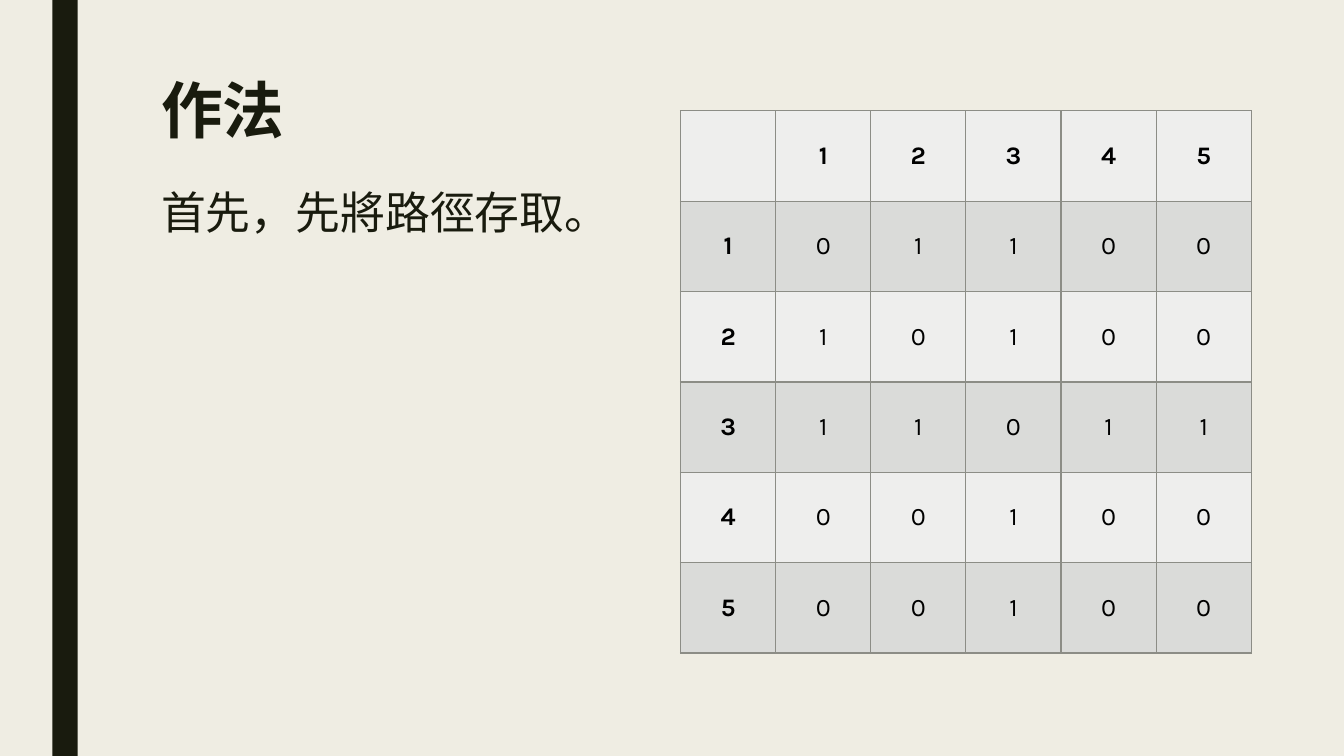
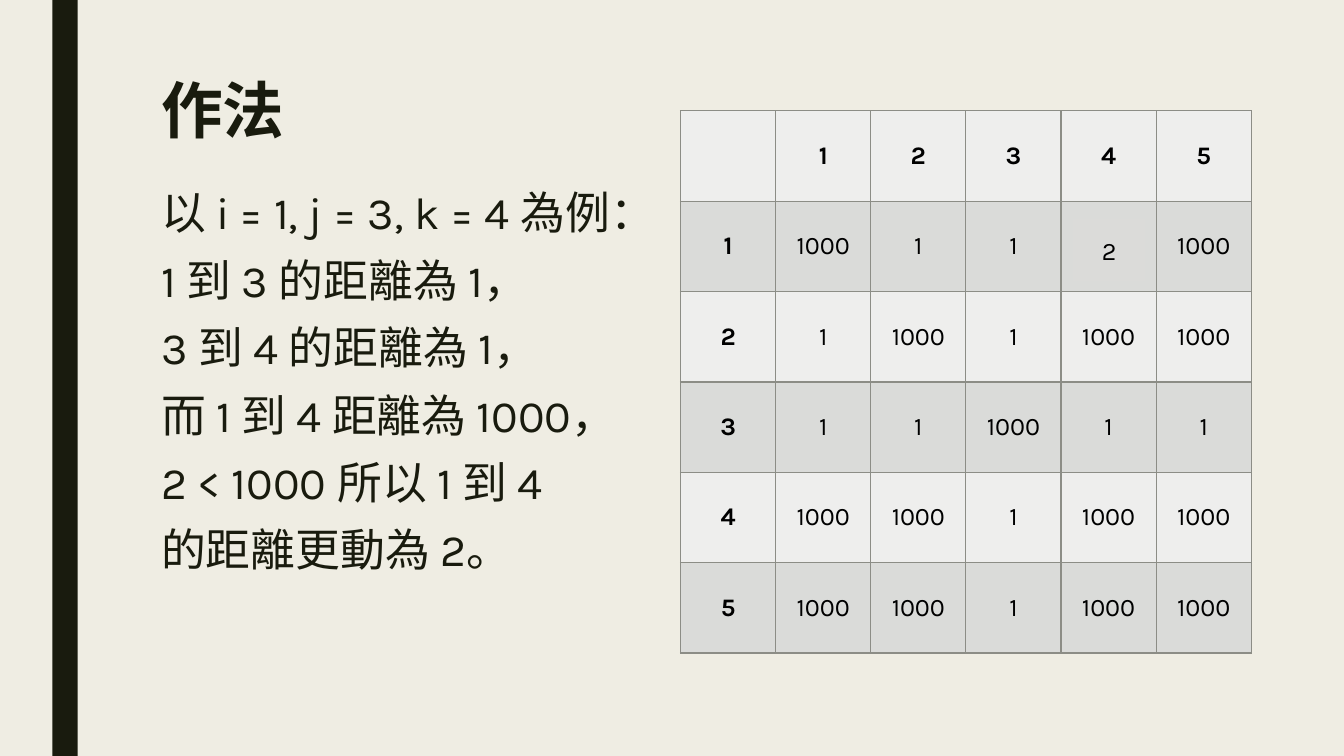
from pptx import Presentation as Deck
from pptx.util import Inches, Pt
from pptx.dml.color import RGBColor as Rgb
from pptx.enum.shapes import MSO_SHAPE as Kind
from pptx.enum.text import MSO_ANCHOR as Anchor, PP_ALIGN as Align
from pptx.oxml.ns import qn
from lxml.etree import SubElement as Sub

PAPER, INK, BLACK = "EFEDE3", "191B0E", "000000"
LIGHT, DARK, PATCH, GRID = "EEEEED", "DADBD9", "DBDBD9", "8C8D86"
FONT = "Karla"


def color(code):
    return Rgb.from_string(code)


class Pen:
    """Holds the style and the current slide."""

    def __init__(self):
        self.deck = Deck()
        self.deck.slide_width = Inches(13.33)
        self.deck.slide_height = Inches(7.5)
        fill = self.deck.slide_master.background.fill
        fill.solid()
        fill.fore_color.rgb = color(PAPER)

    def page(self, title):
        self.slide = self.deck.slides.add_slide(self.deck.slide_layouts[5])
        self.block(0.52, 0, 0.25, 7.5, INK)
        head = self.slide.shapes.title
        self.place(head, 1.5, 0.75, 10.5, 0.93)
        frame = head.text_frame
        frame.text = title
        frame.vertical_anchor = Anchor.TOP
        para = frame.paragraphs[0]
        para.line_spacing = 0.89
        self.style(para, 44, INK, bold=True)

    def place(self, item, left, top, width, height):
        item.left, item.top = Inches(left), Inches(top)
        item.width, item.height = Inches(width), Inches(height)

    def style(self, para, size, ink, bold=False, align=Align.LEFT):
        para.alignment = align
        for run in para.runs:
            font = run.font
            font.name, font.size, font.bold = FONT, Pt(size), bold
            font.color.rgb = color(ink)

    def block(self, left, top, width, height, code, text=""):
        box = self.slide.shapes.add_shape(
            Kind.RECTANGLE, Inches(left), Inches(top), Inches(width), Inches(height))
        box.shadow.inherit = False
        box.fill.solid()
        box.fill.fore_color.rgb = color(code)
        box.line.fill.background()
        if text:
            box.text_frame.text = text
            self.style(box.text_frame.paragraphs[0], 18, BLACK, align=Align.CENTER)

    def body(self, lines, height):
        box = self.slide.shapes.add_textbox(
            Inches(1.5), Inches(1.83), Inches(10.5), Inches(height))
        frame = box.text_frame
        frame.word_wrap = True
        frame.text = "\n".join(lines)
        for pos, para in enumerate(frame.paragraphs):
            para.line_spacing = 0.94
            para.space_before = Pt(10 if pos else 0)
            para.space_after = Pt(2)
            self.style(para, 32, INK)

    def edges(self, cell):
        props = cell._tc.get_or_add_tcPr()
        for side in ("a:lnL", "a:lnR", "a:lnT", "a:lnB"):
            line = Sub(props, qn(side), w=str(Pt(1)))
            Sub(Sub(line, qn("a:solidFill")), qn("a:srgbClr"), val=GRID)

    def matrix(self, rows):
        # Number the columns and rows around the values
        size = len(rows)
        full = [["", *range(1, size + 1)]]
        full += [[num, *row] for num, row in enumerate(rows, 1)]
        table = self.slide.shapes.add_table(
            size + 1, size + 1, Inches(6.75), Inches(1.1),
            Inches(5.66), Inches(5.38)).table
        table.first_row = table.horz_banding = False
        for r, row in enumerate(full):
            for c, value in enumerate(row):
                cell = table.cell(r, c)
                self.edges(cell)
                cell.fill.solid()
                cell.fill.fore_color.rgb = color(DARK if r % 2 else LIGHT)
                cell.vertical_anchor = Anchor.MIDDLE
                cell.text_frame.text = str(value)
                self.style(cell.text_frame.paragraphs[0], 18, BLACK,
                           bold=r == 0 or c == 0, align=Align.CENTER)


def main():
    pen = Pen()
    links = [[0, 1, 1, 0, 0],
             [1, 0, 1, 0, 0],
             [1, 1, 0, 1, 1],
             [0, 0, 1, 0, 0],
             [0, 0, 1, 0, 0]]

    # Stored paths
    pen.page("作法")
    pen.body(["首先，先將路徑存取。"], 3.92)
    pen.matrix(links)

    # Distances, where a missing path counts as 1000
    pen.page("作法")
    pen.body(["以 i = 1, j = 3, k = 4 為例：",
              "1 到 3 的距離為 1，",
              "3 到 4 的距離為 1，",
              "而 1 到 4 距離為 1000，",
              "2 < 1000 所以 1 到 4",
              "的距離更動為 2。"], 4.65)
    pen.matrix([[link or 1000 for link in row] for row in links])
    # New distance from 1 to 4
    pen.block(10.64, 2.17, 0.72, 0.62, PATCH, "2")

    pen.deck.save("out.pptx")


if __name__ == "__main__":
    main()
